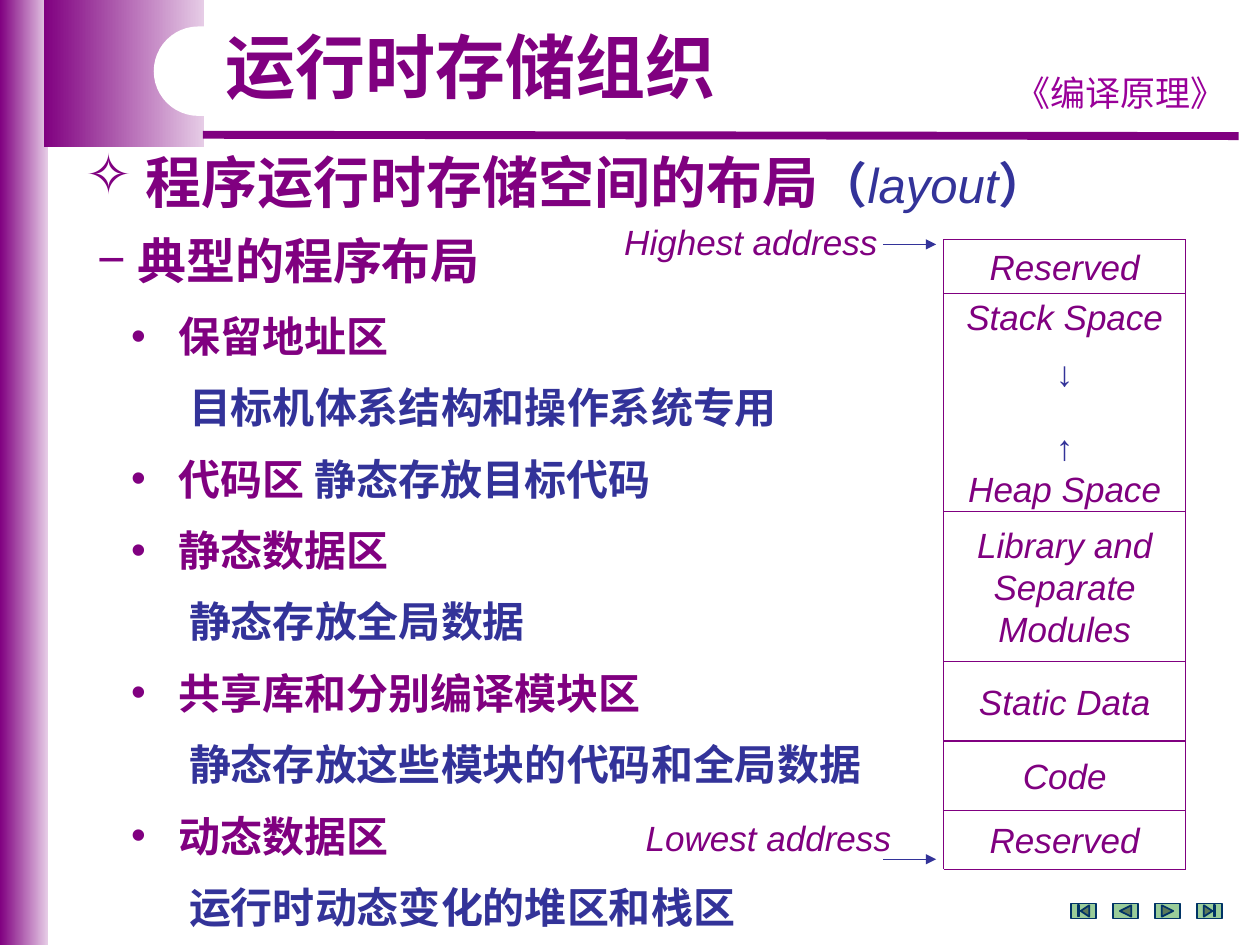
from itertools import pairwise
from lxml.etree import SubElement
from pptx import Presentation
from pptx.dml.color import RGBColor as RGB
from pptx.enum.shapes import MSO_CONNECTOR as LINK, MSO_SHAPE as SHAPE
from pptx.enum.text import MSO_ANCHOR as ANCHOR, MSO_AUTO_SIZE as AUTO, PP_ALIGN as ALIGN
from pptx.oxml.ns import qn
from pptx.util import Inches, Pt

THEME = dict(
    purple="800080", lilac="E6CCE6", navy="333399", course="990099", white="FFFFFF",
    button="99CC99", button_edge="003366",
    title=40, heading=32, topic=28, item=24, label=20, pitch=40.8,
    sans="Arial", serif="Times New Roman", casual="Comic Neue", han="Noto Sans CJK SC",
)

TITLE = "运行时存储组织"
COURSE = "《编译原理》"
HEADING = "程序运行时存储空间的布局"
TOPIC = "典型的程序布局"
AREAS = [
    ("保留地址区", "目标机体系结构和操作系统专用", False),
    ("代码区", "静态存放目标代码", True),
    ("静态数据区", "静态存放全局数据", False),
    ("共享库和分别编译模块区", "静态存放这些模块的代码和全局数据", False),
    ("动态数据区", "运行时动态变化的堆区和栈区", False),
]
MEMORY = [
    [("Reserved", 0)],
    [("Stack Space", 0), ("↓", 8), ("↑", 18), ("Heap Space", 0)],
    [("Library and Separate Modules", 0)],
    [("Static Data", 0)],
    [("Code", 0)],
    [("Reserved", 0)],
]
MEMORY_EDGES = [1.9, 2.33, 4.06, 5.25, 5.88, 6.43, 6.9]
MEMORY_LEFT, MEMORY_RIGHT = 7.49, 9.41
ADDRESSES = [
    ("Highest address", (4.8, 1.7, 2.32, 0.43), 1.94),
    ("Lowest address", (5, 6.43, 2.2, 0.43), 6.82),
]
BUTTONS = [
    SHAPE.ACTION_BUTTON_BEGINNING,
    SHAPE.ACTION_BUTTON_BACK_OR_PREVIOUS,
    SHAPE.ACTION_BUTTON_FORWARD_OR_NEXT,
    SHAPE.ACTION_BUTTON_END,
]

deck = Presentation()
deck.slide_width, deck.slide_height = Inches(10), Inches(7.5)
slide = deck.slides.add_slide(deck.slide_layouts[1])
shapes = slide.shapes


def color(name):
    return RGB.from_string(THEME[name])


def style(font, size, tint, face="sans", bold=False, italic=False):
    font.size, font.name = Pt(THEME[size]), THEME[face]
    font.bold, font.italic = bold, italic
    font.color.rgb = color(tint)


def write(paragraph, text, *look, **flags):
    run = paragraph.add_run()
    run.text = text
    style(run.font, *look, **flags)
    SubElement(run.font._element, qn("a:ea"), typeface=THEME["han"])


def indent(paragraph, margin, hang=0.0, bullet=None):
    props = paragraph._p.get_or_add_pPr()
    props.set("marL", str(Inches(margin)))
    props.set("indent", str(-Inches(hang)))
    if bullet:
        tint = SubElement(props, qn("a:buClr"))
        SubElement(tint, qn("a:srgbClr"), val=THEME["purple"])
        SubElement(props, qn("a:buChar"), char=bullet)
    else:
        SubElement(props, qn("a:buNone"))


def place(shape, box):
    shape.left, shape.top, shape.width, shape.height = map(Inches, box)


def frame_of(shape, anchor=ANCHOR.MIDDLE):
    frame = shape.text_frame
    frame.word_wrap, frame.auto_size = True, AUTO.NONE
    frame.vertical_anchor = anchor
    return frame


def textbox(box):
    return frame_of(shapes.add_textbox(*map(Inches, box)))


def block(kind, box, fill, edge=None):
    shape = shapes.add_shape(kind, *map(Inches, box))
    shape.shadow.inherit = False
    if isinstance(fill, tuple):
        shape.fill.gradient()
        shape.fill.gradient_angle = 0
        for stop, name in zip(shape.fill.gradient_stops, fill):
            stop.color.rgb = color(name)
    else:
        shape.fill.solid()
        shape.fill.fore_color.rgb = color(fill)
    if edge:
        shape.line.color.rgb, shape.line.width = color(edge), Pt(1)
    else:
        shape.line.fill.background()
    return shape


def line(x1, y1, x2, y2, tint="purple", width=0.75, arrow=False):
    link = shapes.add_connector(LINK.STRAIGHT, *map(Inches, (x1, y1, x2, y2)))
    link.line.color.rgb, link.line.width = color(tint), Pt(width)
    if arrow:
        SubElement(link.line._get_or_add_ln(), qn("a:tailEnd"), type="triangle")
    SubElement(link._element.spPr, qn("a:effectLst"))


for band in [(0, 0, 0.38, 7.5), (0.35, 0, 1.27, 1.17)]:
    block(SHAPE.RECTANGLE, band, ("purple", "lilac"))
line(1.61, 1.07, 9.83, 1.08, width=4.5)
block(SHAPE.ROUNDED_RECTANGLE, (1.22, 0.21, 3.62, 0.71), "white").adjustments[0] = 0.5

course = textbox((7.91, 0.52, 1.97, 0.43)).paragraphs[0]
course.alignment = ALIGN.CENTER
write(course, COURSE, "label", "course", "casual")

title, body = shapes.title, slide.placeholders[1]
for holder in (title, body):
    shapes._spTree.append(holder._element)

place(title, (1.69, 0.21, 4.14, 0.7))
name = frame_of(title).paragraphs[0]
name.alignment, name.line_spacing = ALIGN.LEFT, 0.9
write(name, TITLE, "title", "purple", bold=True)

heading = textbox((0.58, 1.12, 8.35, 0.63)).paragraphs[0]
indent(heading, 0.48, 0.48, "✧")
write(heading, HEADING, "heading", "purple", bold=True)
write(heading, "（", "topic", "navy", "serif", bold=True)
write(heading, "layout", "topic", "navy", italic=True)
write(heading, "）", "topic", "navy", "serif", bold=True)

place(body, (0.67, 1.73, 6.38, 5.68))
outline = frame_of(body, ANCHOR.TOP)
outline.margin_top = 0


def outline_row(*layout):
    row = outline.paragraphs[0] if not outline.paragraphs[0].runs else outline.add_paragraph()
    row.line_spacing, row.space_before = Pt(THEME["pitch"]), Pt(0)
    indent(row, *layout)
    return row


write(outline_row(0.32, 0.32, "−"), TOPIC, "topic", "purple", "serif", bold=True)
for area, detail, inline in AREAS:
    row = outline_row(0.65, 0.38, "•")
    write(row, area + (" " if inline else ""), "item", "purple", bold=True)
    write(row if inline else outline_row(0.73), detail, "item", "navy", bold=True)

for column, kind in enumerate(BUTTONS):
    block(kind, (8.5 + column / 3, 7.17, 0.2, 0.12), "button", "button_edge")

for x in (MEMORY_LEFT, MEMORY_RIGHT):
    line(x, MEMORY_EDGES[0], x, MEMORY_EDGES[-1])
for y in MEMORY_EDGES:
    line(MEMORY_LEFT, y, MEMORY_RIGHT, y)
for region, (top, bottom) in zip(MEMORY, pairwise(MEMORY_EDGES)):
    cell = textbox((MEMORY_LEFT, top, MEMORY_RIGHT - MEMORY_LEFT, bottom - top))
    cell.margin_top = cell.margin_bottom = 0
    for index, (label, gap) in enumerate(region):
        entry = cell.add_paragraph() if index else cell.paragraphs[0]
        entry.text, entry.alignment, entry.space_before = label, ALIGN.CENTER, Pt(gap)
        growth = label in "↓↑"
        style(entry.font, "label", "navy" if growth else "purple", bold=growth, italic=not growth)

for label, box, y in ADDRESSES:
    address = textbox(box).paragraphs[0]
    address.text, address.alignment = label, ALIGN.CENTER
    style(address.font, "label", "purple", italic=True)
    line(7.01, y, 7.43, y, "navy", arrow=True)

deck.save("out.pptx")
